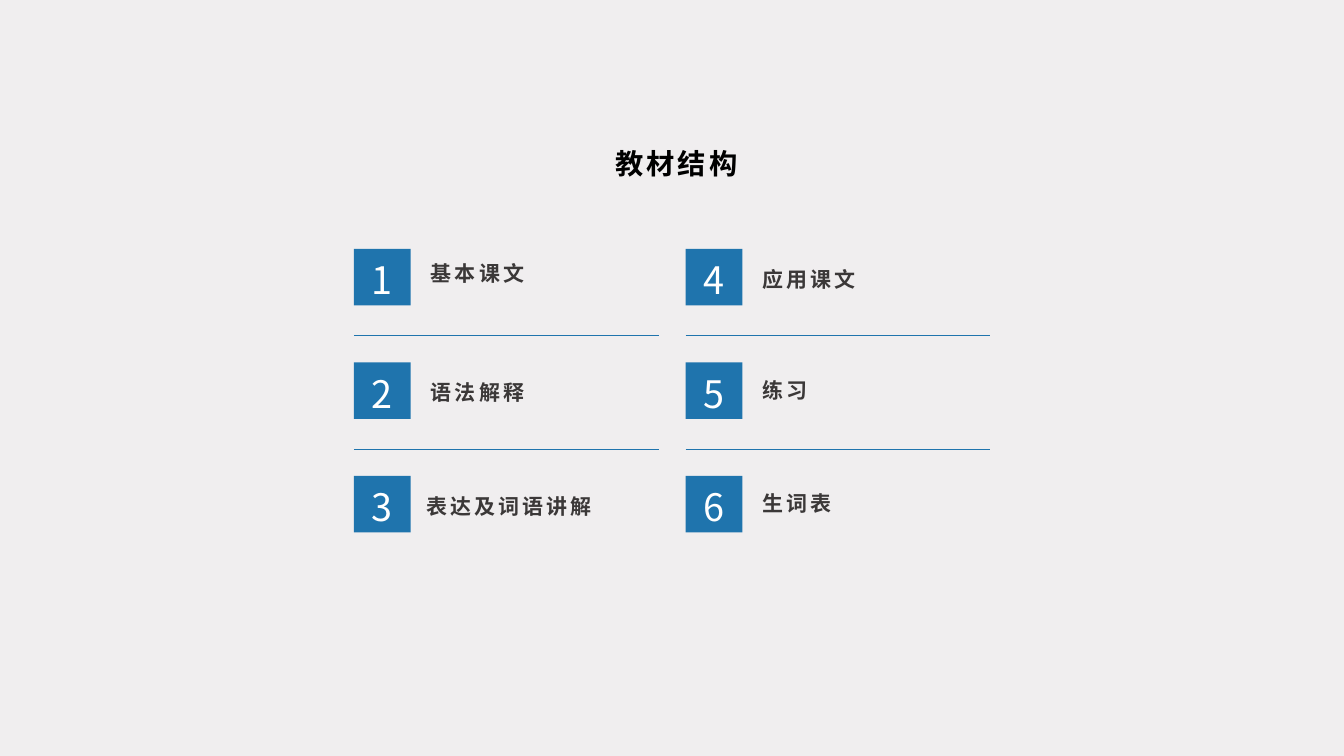
from dataclasses import dataclass

from pptx import Presentation
from pptx.dml.color import RGBColor
from pptx.enum.shapes import MSO_CONNECTOR as Connector, MSO_SHAPE as Shape
from pptx.enum.text import MSO_ANCHOR as Anchor, PP_ALIGN as Align
from pptx.oxml.ns import qn
from pptx.util import Cm, Pt

TITLE = " 教材结构"

# text, label offset from its square, label top, width and height (cm)
COLUMNS = [
    [
        ("基本课文", 1.69, 6.12, 6.22, 1.27),
        ("语法解释", 1.69, 9.42, 5.82, 0.69),
        ("表达及词语讲解", 1.57, 11.84, 6.12, 1.57),
    ],
    [
        ("应用课文", 1.69, 6.12, 5.82, 1.57),
        ("练习", 1.69, 8.99, 5.82, 1.42),
        ("生词表", 1.69, 12.04, 5.82, 1.04),
    ],
]


@dataclass(frozen=True)
class Theme:
    font: str = "Noto Sans CJK SC"
    background: str = "F0EEEF"
    accent: str = "1F74AD"
    title: str = "000000"
    label: str = "3B3838"
    number: str = "FFFFFF"
    title_size: float = 20.2
    label_size: float = 15
    number_size: float = 27
    tracking: float = 2.2


THEME = Theme()

# Grid, in cm
GRID_LEFT, GRID_TOP = 8.92, 6.27
COLUMN_STEP, ROW_STEP = 8.36, 2.86
SQUARE = 1.43
RULE_DROP, RULE_LENGTH = 2.19, 7.68


def write(shape, text, size, color, spacing, insets, align=Align.LEFT, bold=False, tracking=0):
    frame = shape.text_frame
    frame.word_wrap = True
    frame.vertical_anchor = Anchor.MIDDLE
    frame.margin_left, frame.margin_top, frame.margin_right, frame.margin_bottom = map(Cm, insets)
    para = frame.paragraphs[0]
    para.alignment = align
    para.line_spacing = spacing
    span = para.add_run()
    span.text = text
    font = span.font
    font.name, font.size, font.bold = THEME.font, Pt(size), bold
    font.color.rgb = RGBColor.from_string(color)
    props = span._r.get_or_add_rPr()
    props.set("spc", str(round(tracking * 100)))
    east_asian = props.makeelement(qn("a:ea"), {"typeface": THEME.font})
    props.find(qn("a:latin")).addnext(east_asian)


def add_title(page):
    box = page.shapes.add_textbox(Cm(8.71), Cm(3.25), Cm(16.43), Cm(1.55))
    write(box, TITLE, THEME.title_size, THEME.title, 1.2, (0.15, 0.08, 0.15, 0.08),
          Align.CENTER, True, THEME.tracking)


def add_number(page, number, left, top):
    square = page.shapes.add_shape(Shape.RECTANGLE, Cm(left), Cm(top), Cm(SQUARE), Cm(SQUARE))
    square.shadow.inherit = False
    square.fill.solid()
    square.fill.fore_color.rgb = RGBColor.from_string(THEME.accent)
    square.line.fill.background()
    write(square, str(number), THEME.number_size, THEME.number, 1.1,
          (0.25, 0.13, 0.25, 0.13), Align.CENTER)


def add_label(page, text, left, top, width, height):
    box = page.shapes.add_textbox(Cm(left), Cm(top), Cm(width), Cm(height))
    write(box, text, THEME.label_size, THEME.label, 1.2, (0.25, 0.13, 0.25, 0),
          bold=True, tracking=THEME.tracking)


def add_rule(page, left, top):
    rule = page.shapes.add_connector(
        Connector.STRAIGHT, Cm(left), Cm(top), Cm(left + RULE_LENGTH), Cm(top))
    rule.line.color.rgb = RGBColor.from_string(THEME.accent)
    rule.line.width = Pt(1)
    props = rule._element.spPr
    props.append(props.makeelement(qn("a:effectLst"), {}))


def main():
    deck = Presentation()
    deck.slide_width, deck.slide_height = Cm(33.87), Cm(19.05)
    page = deck.slides.add_slide(deck.slide_layouts[6])
    page.background.fill.solid()
    page.background.fill.fore_color.rgb = RGBColor.from_string(THEME.background)

    add_title(page)
    for column, items in enumerate(COLUMNS):
        left = GRID_LEFT + column * COLUMN_STEP
        for row, (text, offset, label_top, width, height) in enumerate(items):
            top = GRID_TOP + row * ROW_STEP
            add_number(page, column * len(items) + row + 1, left, top)
            add_label(page, text, left + offset, label_top, width, height)
            if row < len(items) - 1:
                add_rule(page, left, top + RULE_DROP)

    deck.save("out.pptx")


if __name__ == "__main__":
    main()
